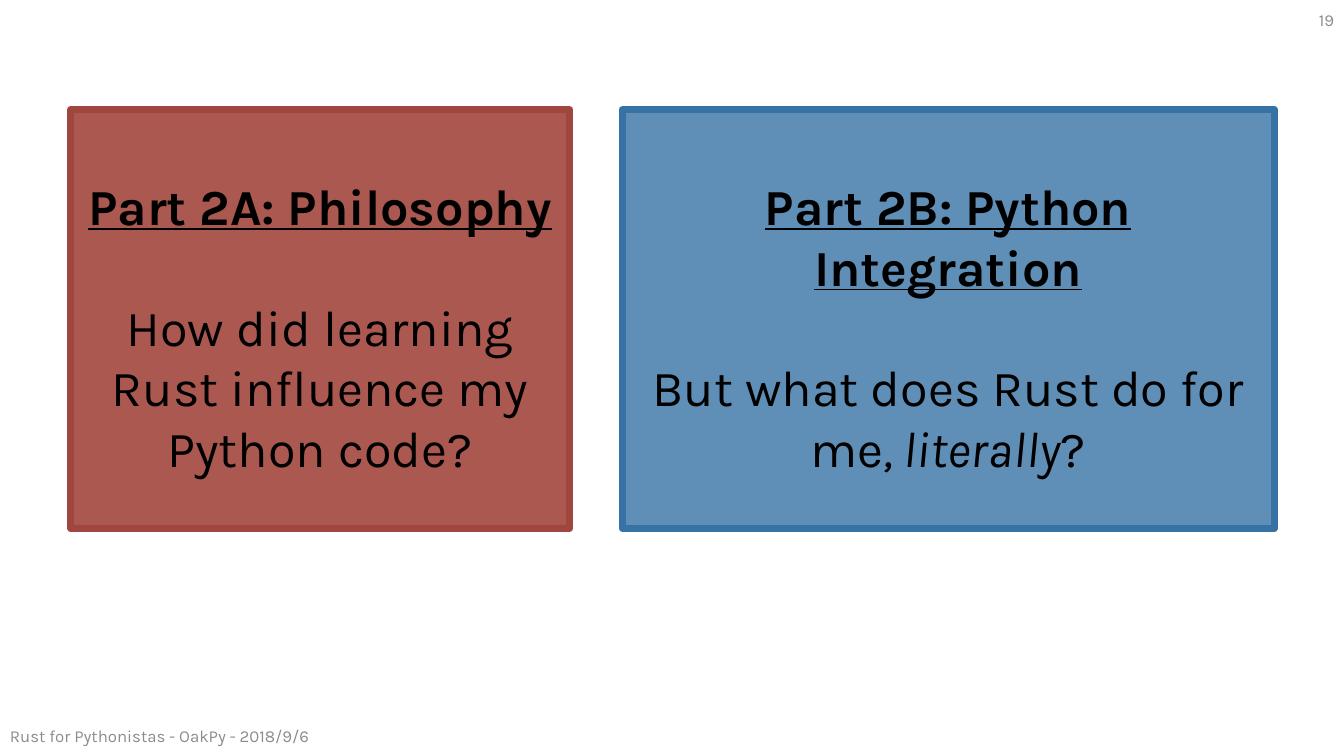
from lxml.etree import SubElement
from pptx import Presentation
from pptx.dml.color import RGBColor
from pptx.enum.shapes import MSO_SHAPE as Shape
from pptx.enum.text import MSO_ANCHOR as Anchor, PP_ALIGN as Align
from pptx.oxml.ns import qn
from pptx.util import Pt

PX = 9144
WIDTH, HEIGHT = 1333, 750


def color(code):
    """Turn a hex string into a colour."""
    return RGBColor.from_string(code)


class Deck:
    """Holds the style and the current slide."""

    font = "Karla"
    ink = "000000"
    muted = "8C8C8C"
    small, large = 12, 36
    border = 5
    line_height = 43
    panel_top, panel_height = 109, 415
    text_inset = 65

    def __init__(self):
        """Start a presentation with one blank slide."""
        self.deck = Presentation()
        self.deck.slide_width = WIDTH * PX
        self.deck.slide_height = HEIGHT * PX
        self.slide = self.deck.slides.add_slide(self.deck.slide_layouts[6])

    def style(self, run, size, ink):
        """Set the font, size and colour of a run."""
        run.font.name = self.font
        run.font.size = Pt(size)
        run.font.color.rgb = color(ink)

    def label(self, text, left, top, width, height, align=Align.LEFT):
        """Add a small grey label."""
        label = self.slide.shapes.add_textbox(*(n * PX for n in (left, top, width, height)))
        frame = label.text_frame
        frame.word_wrap = True
        frame.vertical_anchor = Anchor.MIDDLE
        frame.text = text
        frame.paragraphs[0].alignment = align
        self.style(frame.paragraphs[0].runs[0], self.small, self.muted)

    def panel(self, left, width, tint, opacity, heading, question):
        """Add a tinted panel with a heading and a question of (text, italic) parts."""
        panel = self.slide.shapes.add_shape(
            Shape.RECTANGLE, left * PX, self.panel_top * PX, width * PX, self.panel_height * PX)
        panel.shadow.inherit = False
        panel.fill.solid()
        panel.fill.fore_color.rgb = color(tint)
        fill = panel.fill._xPr.find(qn("a:solidFill"))
        SubElement(fill[0], qn("a:alpha"), val=str(opacity * 1000))
        panel.line.color.rgb = color(tint)
        panel.line.width = Pt(self.border)
        SubElement(panel.line._ln, qn("a:round"))

        frame = panel.text_frame
        frame.word_wrap = True
        frame.vertical_anchor = Anchor.TOP
        frame.margin_top = self.text_inset * PX
        frame.text = heading
        title = frame.paragraphs[0]
        title.runs[0].font.bold = True
        title.runs[0].font.underline = True
        title.space_after = Pt(self.line_height)
        body = frame.add_paragraph()
        for text, italic in question:
            run = body.add_run()
            run.text = text
            run.font.italic = italic
        for paragraph in frame.paragraphs:
            paragraph.alignment = Align.CENTER
            for run in paragraph.runs:
                self.style(run, self.large, self.ink)

    def save(self):
        """Write the presentation."""
        self.deck.save("out.pptx")


def main():
    """Build the slide."""
    deck = Deck()
    deck.label("Rust for Pythonistas - OakPy - 2018/9/6", 0, 710, 450, 40)
    deck.label("19", 1289, 0, 44, 40, Align.RIGHT)
    deck.panel(70, 495, "A1463E", 90, "Part 2A: Philosophy",
               [("How did learning Rust influence my Python code?", False)])
    deck.panel(617, 647, "3772A4", 80, "Part 2B: Python Integration",
               [("But what does Rust do for me", False), (", literally", True), ("?", False)])
    deck.save()


if __name__ == "__main__":
    main()
